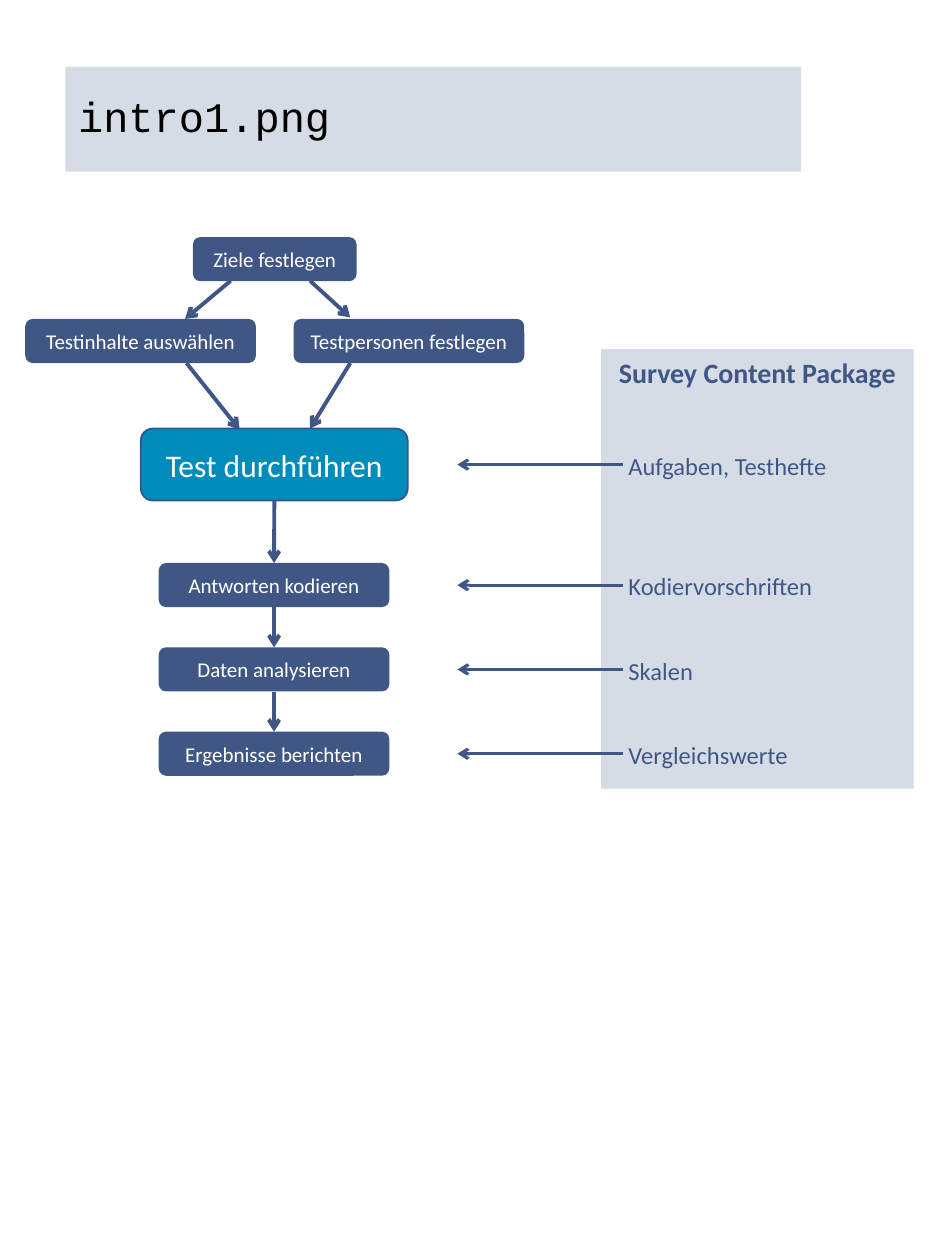
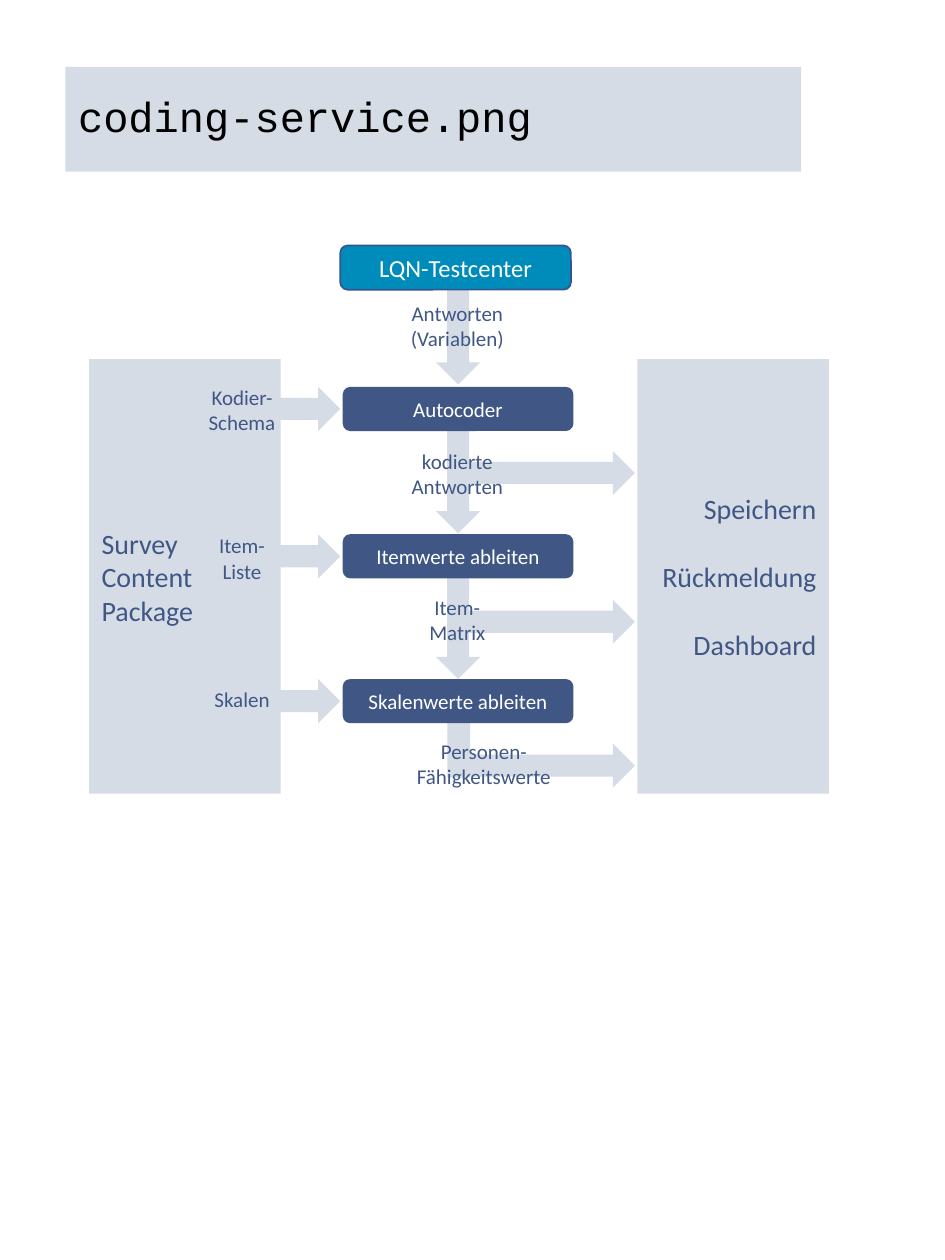
import pptx
import pptx.dml.color
import pptx.enum.shapes
import pptx.enum.text
import pptx.oxml.ns
import pptx.util
from lxml import etree

Cm = pptx.util.Cm
Pt = pptx.util.Pt
RGBColor = pptx.dml.color.RGBColor
MSO_SHAPE = pptx.enum.shapes.MSO_SHAPE
MSO_ANCHOR = pptx.enum.text.MSO_ANCHOR
PP_ALIGN = pptx.enum.text.PP_ALIGN
qn = pptx.oxml.ns.qn

NAVY = RGBColor(0x40, 0x57, 0x86)
TEAL = RGBColor(0x00, 0x8C, 0xBA)
BORDER = RGBColor(0x32, 0x54, 0x91)
PALE = RGBColor(0xD6, 0xDC, 0xE5)
WHITE = RGBColor(0xFF, 0xFF, 0xFF)
BLACK = RGBColor(0x00, 0x00, 0x00)

BOX_W, BOX_H = 4.65, 0.89


class Deck:
    font = "Calibri"
    title_font = "Courier New"

    def __init__(self):
        self.prs = pptx.Presentation()
        self.prs.slide_width = Cm(19.05)
        self.prs.slide_height = Cm(25.4)
        self.s = None

    def add_slide(self, title):
        self.s = self.prs.slides.add_slide(self.prs.slide_layouts[5])
        sp = self.s.shapes.title
        sp.left, sp.top, sp.width, sp.height = Cm(1.32), Cm(1.35), Cm(14.83), Cm(2.11)
        sp.fill.solid()
        sp.fill.fore_color.rgb = PALE
        self.set_text(sp, title, 24, BLACK, PP_ALIGN.LEFT, MSO_ANCHOR.MIDDLE, font=self.title_font)
        sp.text_frame.auto_size = pptx.enum.text.MSO_AUTO_SIZE.NONE
        sp.text_frame.paragraphs[0].line_spacing = 0.9

    def set_text(self, sp, text, size, color, align, anchor, bold=False, font=None, gap=0):
        tf = sp.text_frame
        tf.text = text
        tf.word_wrap = True
        tf.vertical_anchor = anchor
        for i, p in enumerate(tf.paragraphs):
            p.alignment = align
            p.space_before = Pt(gap if i else 0)
            for r in p.runs:
                r.font.name = font or self.font
                r.font.size = Pt(size)
                r.font.bold = bold
                r.font.color.rgb = color

    def shape(self, kind, x, y, w, h, fill, border=None):
        sp = self.s.shapes.add_shape(kind, Cm(x), Cm(y), Cm(w), Cm(h))
        sp.shadow.inherit = False
        sp.fill.solid()
        sp.fill.fore_color.rgb = fill
        if border is None:
            sp.line.fill.background()
        else:
            sp.line.color.rgb = border
            sp.line.width = Pt(1)
        return sp

    def box(self, text, x, y, w=BOX_W, h=BOX_H, size=12, fill=NAVY, border=None):
        sp = self.shape(MSO_SHAPE.ROUNDED_RECTANGLE, x, y, w, h, fill, border)
        self.set_text(sp, text, size, WHITE, PP_ALIGN.CENTER, MSO_ANCHOR.MIDDLE)
        return sp

    def panel(self, text, x, y, w, h, align, anchor=MSO_ANCHOR.MIDDLE, bold=False, gap=0):
        sp = self.shape(MSO_SHAPE.RECTANGLE, x, y, w, h, PALE)
        self.set_text(sp, text, 16, NAVY, align, anchor, bold, gap=gap)

    def block_arrow(self, x, y, w, rotation=0):
        sp = self.shape(MSO_SHAPE.RIGHT_ARROW, x, y, w, BOX_H, PALE)
        sp.rotation = rotation

    def label(self, text, x, y, w, h, size=12, align=PP_ALIGN.CENTER):
        sp = self.s.shapes.add_textbox(Cm(x), Cm(y), Cm(w), Cm(h))
        self.set_text(sp, text, size, NAVY, align, MSO_ANCHOR.TOP)

    def arrow(self, x1, y1, x2, y2, width=2.25):
        c = self.s.shapes.add_connector(
            pptx.enum.shapes.MSO_CONNECTOR.STRAIGHT, Cm(x1), Cm(y1), Cm(x2), Cm(y2))
        c.line.color.rgb = NAVY
        c.line.width = Pt(width)
        properties = c.element.spPr
        etree.SubElement(properties.find(qn("a:ln")), qn("a:tailEnd"), type="arrow")
        etree.SubElement(properties, qn("a:effectLst"))
        return c

    def join(self, upper, lower):
        c = self.arrow(0, 0, 1, 1)
        c.begin_connect(upper, 2)
        c.end_connect(lower, 0)


def build_test_process(deck):
    deck.add_slide("intro1.png")
    deck.box("Ziele festlegen", 3.89, 4.78, w=3.3)
    deck.box("Testinhalte auswählen", 0.51, 6.43)
    deck.box("Testpersonen festlegen", 5.92, 6.43)
    for ends in ((4.65, 5.66, 3.73, 6.43), (6.25, 5.66, 7.06, 6.4),
                 (7.06, 7.32, 6.25, 8.64), (3.76, 7.32, 4.83, 8.66)):
        deck.arrow(*ends)

    steps = [deck.box("Test durchführen", 2.84, 8.64, 5.38, 1.45, 18, TEAL, BORDER)]
    for i, text in enumerate(("Antworten kodieren", "Daten analysieren", "Ergebnisse berichten")):
        steps.append(deck.box(text, 3.2, 11.35 + 1.7 * i))
    for upper, lower in zip(steps, steps[1:]):
        deck.join(upper, lower)

    deck.panel("Survey Content Package", 12.12, 7.04, 6.3, 8.86,
               PP_ALIGN.CENTER, MSO_ANCHOR.TOP, bold=True)
    contents = ("Aufgaben, Testhefte", "Kodiervorschriften", "Skalen", "Vergleichswerte")
    for step, text in zip(steps, contents):
        middle = pptx.util.Length(step.top + step.height // 2).cm
        deck.label(text, 12.42, middle - 0.4, 5.97, 0.79, 14, PP_ALIGN.LEFT)
        deck.arrow(12.55, middle, 9.22, middle, 1.75)


def build_coding_service(deck):
    deck.add_slide("coding-service.png")
    stages = (("Autocoder", 7.8), ("Itemwerte ableiten", 10.77), ("Skalenwerte ableiten", 13.69))

    deck.shape(MSO_SHAPE.RECTANGLE, 9.02, 14.05, 0.46, 1.63, PALE)
    for y in (6.25, 9.25, 12.19):
        deck.block_arrow(8.18, y, 2.11, 90)
    for x, y in ((9.14, 9.09), (9.32, 12.09), (9.32, 14.99)):
        deck.block_arrow(x, y, 12.8 - x)
    for text, y in stages:
        deck.block_arrow(4.32, y, 2.54)

    deck.panel("Survey Content Package", 1.8, 7.24, 3.86, 8.76, PP_ALIGN.LEFT)
    deck.panel("Speichern\nRückmeldung\nDashboard", 12.85, 7.24, 3.86, 8.76,
               PP_ALIGN.RIGHT, gap=19.5)

    deck.box("LQN-Testcenter", 6.86, 4.95, size=14, fill=TEAL, border=BORDER)
    for text, y in stages:
        deck.box(text, 6.91, y)

    for text, x, y, w, h in (
            ("Antworten (Variablen)", 7.95, 5.94, 2.54, 1.3),
            ("kodierte Antworten", 7.95, 8.92, 2.54, 1.22),
            ("Item-Matrix", 7.95, 11.86, 2.54, 1.22),
            ("Personen-Fähigkeitswerte", 7.95, 14.76, 3.61, 1.22),
            ("Kodier-Schema", 3.76, 7.62, 2.24, 1.22),
            ("Item-Liste", 3.84, 10.62, 2.08, 1.12),
            ("Skalen", 3.76, 13.72, 2.24, 0.79)):
        deck.label(text, x, y, w, h)


def main():
    deck = Deck()
    build_test_process(deck)
    build_coding_service(deck)
    deck.prs.save("out.pptx")


if __name__ == "__main__":
    main()
